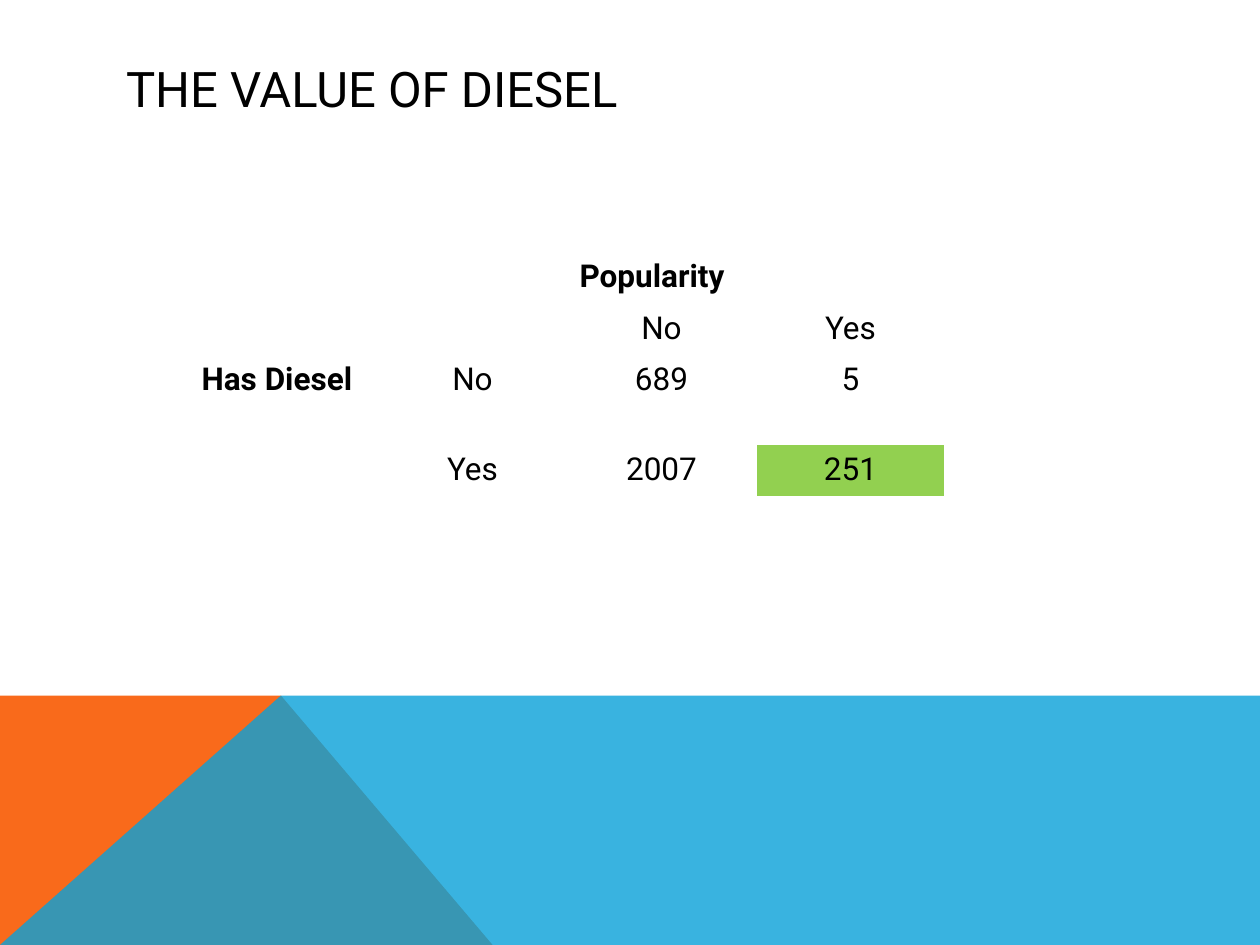
from lxml import etree
from pptx import Presentation
from pptx.dml.color import RGBColor
from pptx.enum.text import MSO_ANCHOR, PP_ALIGN
from pptx.oxml.ns import qn
from pptx.util import Inches, Pt

LEFT, CENTER = PP_ALIGN.LEFT, PP_ALIGN.CENTER
MIDDLE = MSO_ANCHOR.MIDDLE
TITLE_ONLY = 5
WIDTH, HEIGHT = 10, 7.5
BAND_TOP, PEAK_X, FOOT_X = 5.52, 2.23, 3.91
COL_W, ROW_H, TALL_ROW_H = 1.5, 0.41, 0.71
ROWS = [
    ["", "", "Popularity", ""],
    ["", "", "No", "Yes"],
    ["Has Diesel", "No", "689", "5"],
    ["", "Yes", "2007", "251"],
]
HEADINGS = {"Popularity", "Has Diesel"}
HIGHLIGHT = "251"


def rgb(value):
    """Turn a hex string into a colour."""
    return RGBColor.from_string(value)


def write(tf, text, size=18, bold=False, align=LEFT, color="000000"):
    """Put one formatted run into a text frame."""
    p = tf.paragraphs[0]
    p.alignment = align
    r = p.add_run()
    r.text = text
    r.font.name = "Roboto"
    r.font.size = Pt(size)
    r.font.bold = bold
    r.font.color.rgb = rgb(color)


def add_polygon(s, points, color, opacity=100):
    """Draw a filled polygon through points given in inches."""
    start, *rest = [(Inches(x), Inches(y)) for x, y in points]
    builder = s.shapes.build_freeform(*start)
    builder.add_line_segments(rest, close=True)
    sp = builder.convert_to_shape()
    sp.shadow.inherit = False
    sp.line.fill.background()
    sp.fill.solid()
    sp.fill.fore_color.rgb = rgb(color)
    if opacity < 100:
        clr = sp.fill._xPr.find(".//" + qn("a:srgbClr"))
        etree.SubElement(clr, qn("a:alpha"), val=str(opacity * 1000))


def add_band(s):
    """Draw the orange corner and the blue band at the foot."""
    corner, peak = (0, HEIGHT), (PEAK_X, BAND_TOP)
    add_polygon(s, [corner, (0, BAND_TOP), peak, (FOOT_X, HEIGHT)], "F96A1B")
    add_polygon(s, [corner, peak, (WIDTH, BAND_TOP), (WIDTH, HEIGHT)],
                "08A1D9", opacity=80)


def add_title(s, text):
    """Place and fill the title placeholder."""
    sp = s.shapes.title
    sp.left, sp.top = Inches(0.9), Inches(0.4)
    sp.width, sp.height = Inches(8.22), Inches(0.6)
    sp.text_frame.vertical_anchor = MIDDLE
    write(sp.text_frame, text, size=28)


def fill_cell(cell, text):
    """Format one table cell according to its text."""
    cell.fill.background()
    if text == HIGHLIGHT:
        cell.fill.solid()
        cell.fill.fore_color.rgb = rgb("92D050")
    if text:
        heading = text in HEADINGS
        write(cell.text_frame, text, bold=heading,
              align=LEFT if heading else CENTER)


def add_crosstab(s):
    """Add the table of popularity against diesel."""
    heights = [ROW_H, ROW_H, TALL_ROW_H, ROW_H]
    cols = len(ROWS[0])
    table = s.shapes.add_table(
        len(ROWS), cols, Inches(1.5), Inches(2),
        Inches(cols * COL_W), Inches(sum(heights))).table
    for row, height, texts in zip(table.rows, heights, ROWS):
        row.height = Inches(height)
        for cell, text in zip(row.cells, texts):
            fill_cell(cell, text)


def main():
    """Build and save the slide."""
    prs = Presentation()
    prs.slide_width, prs.slide_height = Inches(WIDTH), Inches(HEIGHT)
    s = prs.slides.add_slide(prs.slide_layouts[TITLE_ONLY])
    add_band(s)
    add_title(s, "THE VALUE OF DIESEL")
    add_crosstab(s)
    prs.save("out.pptx")


if __name__ == "__main__":
    main()
